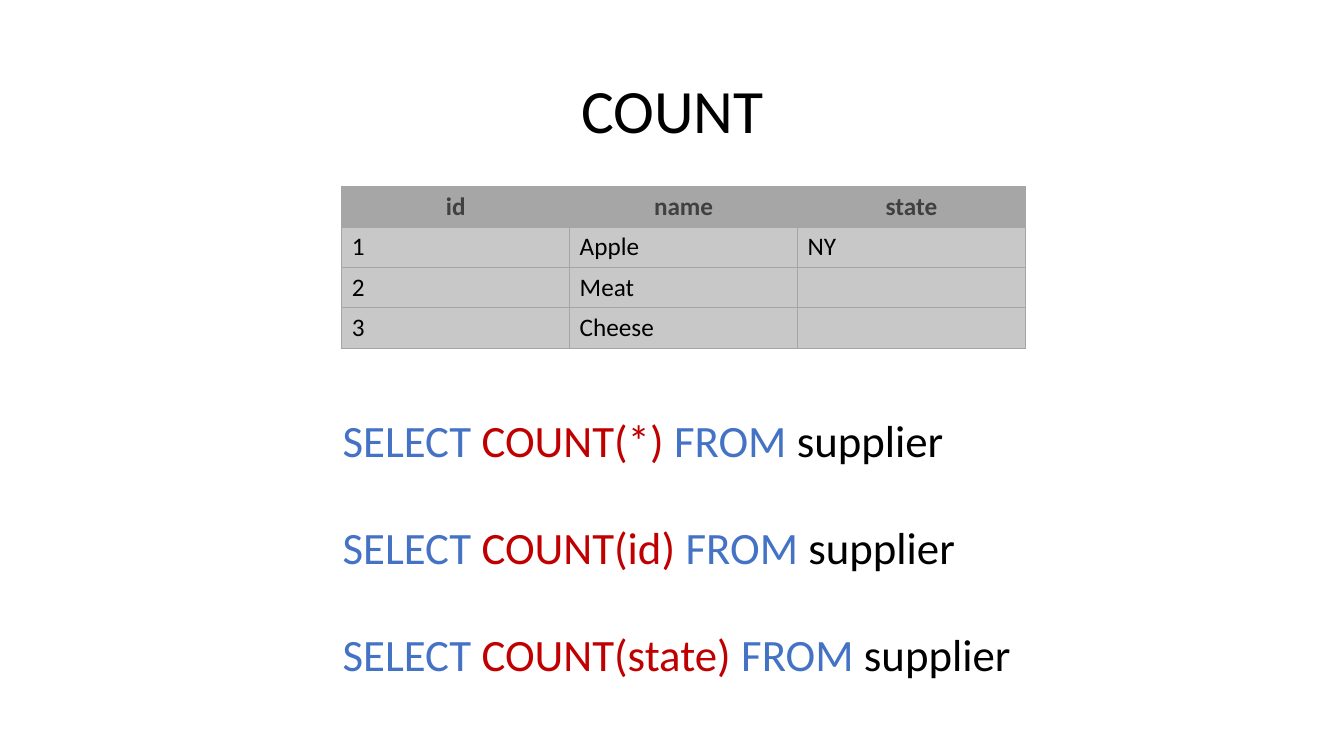
from lxml import etree
from pptx import Presentation
from pptx.dml.color import RGBColor
from pptx.enum.text import MSO_ANCHOR, PP_ALIGN
from pptx.oxml.ns import qn
from pptx.util import Inches, Pt

COLORS = {
    "text": "000000", "keyword": "4472C4", "function": "C00000",
    "header": "A6A6A6", "header_text": "404040",
    "body": "C8C8C8", "border": "A5A5A5",
}
FONT = "Calibri"
HEADERS = ["id", "name", "state"]
SUPPLIERS = [["1", "Apple", "NY"], ["2", "Meat", ""], ["3", "Cheese", ""]]
COUNTED = ["*", "id", "state"]


def rgb(name):
    return RGBColor.from_string(COLORS[name])


def add_run(paragraph, text, size, color, bold=False):
    run = paragraph.add_run()
    run.text = text
    run.font.name = FONT
    run.font.size = Pt(size)
    run.font.bold = bold
    run.font.color.rgb = rgb(color)


def place_title(slide, box, text):
    title = slide.shapes.title
    title.left, title.top, title.width, title.height = map(Inches, box)
    frame = title.text_frame
    frame.vertical_anchor = MSO_ANCHOR.MIDDLE
    paragraph = frame.paragraphs[0]
    paragraph.alignment = PP_ALIGN.CENTER
    paragraph.line_spacing = 0.9
    add_run(paragraph, text, 44, "text")


def set_borders(cell, color, width):
    properties = cell._tc.get_or_add_tcPr()
    for index, side in enumerate(("lnL", "lnR", "lnT", "lnB")):
        line = etree.Element(qn(f"a:{side}"), w=str(Pt(width)))
        fill = etree.SubElement(line, qn("a:solidFill"))
        etree.SubElement(fill, qn("a:srgbClr"), val=COLORS[color])
        properties.insert(index, line)


def place_table(slide, box, headers, records):
    rows = [headers] + records
    table = slide.shapes.add_table(
        len(rows), len(headers), *map(Inches, box)).table
    for r, row in enumerate(rows):
        is_header = r == 0
        for c, value in enumerate(row):
            cell = table.cell(r, c)
            cell.vertical_anchor = MSO_ANCHOR.MIDDLE
            cell.fill.solid()
            cell.fill.fore_color.rgb = rgb("header" if is_header else "body")
            set_borders(cell, "border", 0.5)
            paragraph = cell.text_frame.paragraphs[0]
            if is_header:
                paragraph.alignment = PP_ALIGN.CENTER
            if value:
                add_run(paragraph, value, 18,
                        "header_text" if is_header else "text", is_header)


def place_queries(slide, box, counted):
    frame = slide.shapes.add_textbox(*map(Inches, box)).text_frame
    frame.word_wrap = True
    for index, column in enumerate(counted):
        paragraph = frame.paragraphs[0] if index == 0 else frame.add_paragraph()
        if index:
            paragraph.space_before = Pt(38)
        for text, color in (("SELECT ", "keyword"),
                            (f"COUNT({column})", "function"),
                            (" FROM ", "keyword"),
                            ("supplier", "text")):
            add_run(paragraph, text, 32, color)


def build_count_slide(presentation):
    slide = presentation.slides.add_slide(presentation.slide_layouts[5])
    place_title(slide, (0.92, 0.4, 11.5, 1.45), "COUNT")
    place_queries(slide, (3.3, 4.05, 8.1, 3.1), COUNTED)
    place_table(slide, (3.39, 1.85, 6.78, 1.6), HEADERS, SUPPLIERS)


presentation = Presentation()
presentation.slide_width = Inches(13.33)
presentation.slide_height = Inches(7.5)
build_count_slide(presentation)
presentation.save("out.pptx")
